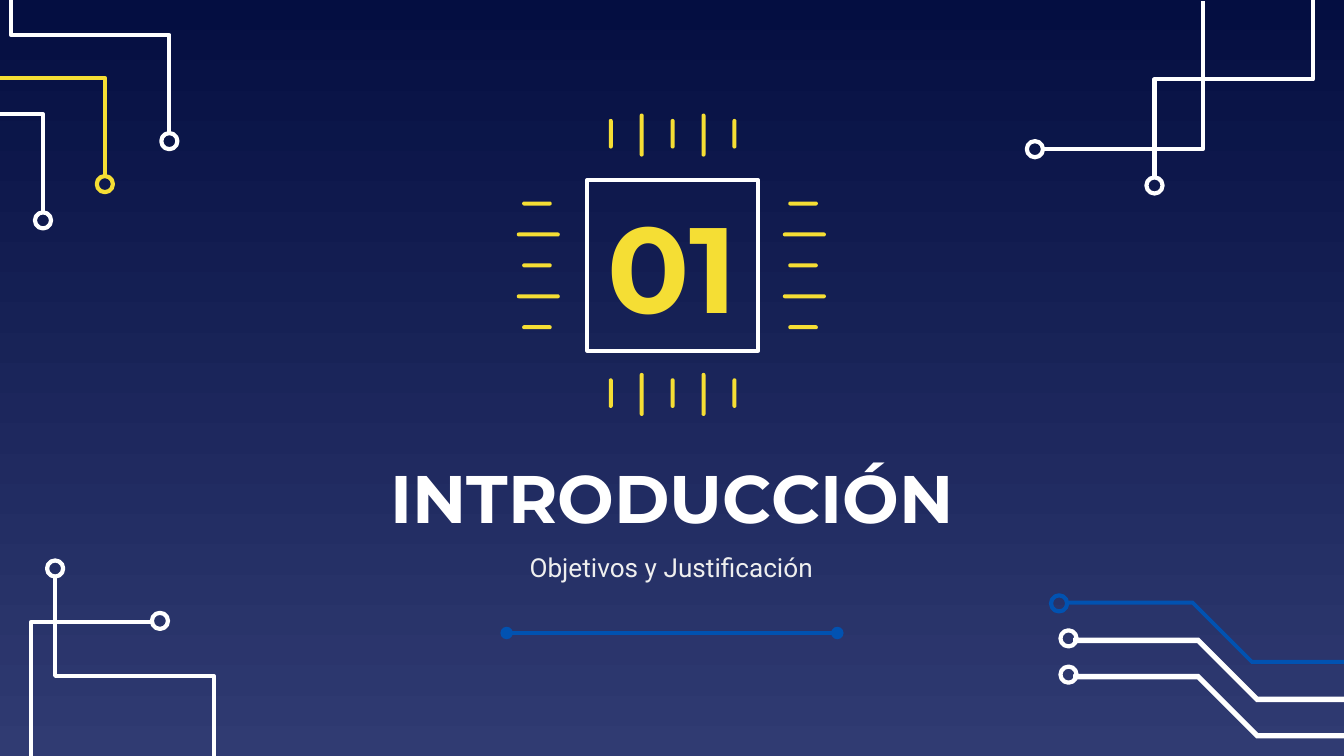
import pptx
import pptx.dml.color
import pptx.enum.shapes
import pptx.enum.text
import pptx.oxml
import pptx.oxml.ns
import pptx.util

Inches = pptx.util.Inches
Pt = pptx.util.Pt
Shapes = pptx.enum.shapes.MSO_SHAPE

WHITE, YELLOW, BLUE = "FFFFFF", "F5DE34", "0152B1"
RING_SIZE = 0.12
DROP = [(1.18, 1.43), (1.18, 0.69), (0, 0.69), (0, 0)]
RISE = [(0, 1.44), (0, 0.7), (1.18, 0.7), (1.18, 0)]
STEP = [(0, 0), (0, 0.75), (1.18, 0.75), (1.18, 1.43)]
BAND = [(0, 0), (0.93, 0), (1.37, 0.44), (2.1, 0.44),
        (2.1, 0.47), (1.36, 0.47), (0.92, 0.03), (0, 0.03)]


def color(value):
    return pptx.dml.color.RGBColor.from_string(value)


def paint(shape, fill=None, line=None, width=2.25):
    shape.shadow.inherit = False
    for target, value in ((shape.fill, fill), (shape.line.fill, line)):
        if value:
            target.solid()
            target.fore_color.rgb = color(value)
        else:
            target.background()
    if line:
        shape.line.width = Pt(width)


def add_outline(slide, left, top, points, close):
    start, *rest = [(Inches(x), Inches(y)) for x, y in points]
    builder = slide.shapes.build_freeform(*start, scale=1.0)
    builder.add_line_segments(rest, close=close)
    return builder.convert_to_shape(Inches(left), Inches(top))


def add_ring(slide, left, top, line):
    ring = slide.shapes.add_shape(
        Shapes.OVAL, Inches(left), Inches(top), Inches(RING_SIZE), Inches(RING_SIZE))
    paint(ring, line=line)


def draw_trace(slide, left, top, points, ring_offset, line=WHITE):
    paint(add_outline(slide, left, top, points, close=False), line=line)
    add_ring(slide, left + ring_offset[0], top + ring_offset[1], line)


def draw_band(slide, left, top, ring_offset, fill, line=None):
    paint(add_outline(slide, left, top, BAND, close=True), fill, line, 0.75)
    add_ring(slide, left + ring_offset[0], top + ring_offset[1], fill)


def draw_corners(slide):
    draw_band(slide, 7.95, 4.47, (-0.13, -0.04), BLUE)
    for top in (4.75, 5.02):
        draw_band(slide, 7.99, top, (-0.1, -0.06), WHITE, WHITE)
    draw_trace(slide, 0.41, 4.28, STEP, (-0.06, -0.11))
    draw_trace(slide, 0.23, 4.63, [(0.9, 0), (0, 0), (0, 1.08)], (0.9, -0.07))
    draw_trace(slide, 7.75, 0.01, [(0, 1.1), (1.2, 1.1), (1.2, 0)], (-0.11, 1.04))
    draw_trace(slide, 8.59, -0.11, RISE, (-0.06, 1.43))
    for left, top, line in ((-0.86, 0.16, WHITE), (-0.4, -0.11, YELLOW), (0.08, -0.43, WHITE)):
        draw_trace(slide, left, top, DROP, (1.12, 1.42), line)


def write_text(shape, text, size, font, value, bold=False):
    frame = shape.text_frame
    frame.text = text
    frame.word_wrap = True
    frame.vertical_anchor = pptx.enum.text.MSO_ANCHOR.MIDDLE
    frame.margin_left = frame.margin_right = Inches(0.1)
    frame.margin_top = frame.margin_bottom = Inches(0.1)
    paragraph = frame.paragraphs[0]
    paragraph.alignment = pptx.enum.text.PP_ALIGN.CENTER
    run_font = paragraph.runs[0].font
    run_font.size = Pt(size)
    run_font.name = font
    run_font.bold = bold
    run_font.color.rgb = color(value)


def add_text(slide, left, top, width, height, *style):
    box = slide.shapes.add_textbox(Inches(left), Inches(top), Inches(width), Inches(height))
    write_text(box, *style)


def add_pin(slide, center_x, center_y, width, height):
    pin = slide.shapes.add_shape(
        Shapes.ROUNDED_RECTANGLE, Inches(center_x - width / 2),
        Inches(center_y - height / 2), Inches(width), Inches(height))
    pin.adjustments[0] = 0.5
    paint(pin, fill=YELLOW)


def draw_chip(slide, left, top, size, number):
    body = slide.shapes.add_shape(
        Shapes.RECTANGLE, Inches(left), Inches(top), Inches(size), Inches(size))
    paint(body, line=WHITE)
    write_text(body, number, 65, "Montserrat", YELLOW, True)
    center_x, center_y = left + size / 2, top + size / 2
    pitch, thickness = 0.23, 0.03
    for index in range(5):
        offset = (index - 2) * pitch
        length = 0.32 if index % 2 else 0.22
        shift = 0.01 if index % 2 else 0
        for distance in (-0.98, 0.95):
            add_pin(slide, center_x + offset, center_y + distance + shift,
                    thickness, length)
        for distance in (-1.01, 0.97):
            add_pin(slide, center_x + distance + shift, center_y + offset,
                    length, thickness)


def draw_divider(slide, left, top, width):
    line = slide.shapes.add_connector(
        pptx.enum.shapes.MSO_CONNECTOR.STRAIGHT,
        Inches(left), Inches(top), Inches(left + width), Inches(top))
    line.line.color.rgb = color(BLUE)
    line.line.width = Pt(2.25)
    outline = line._element.spPr.find(pptx.oxml.ns.qn("a:ln"))
    namespace = pptx.oxml.ns.nsdecls("a")
    for tag in ("a:headEnd", "a:tailEnd"):
        outline.append(pptx.oxml.parse_xml(f'<{tag} {namespace} type="oval"/>'))
    line._element.spPr.append(pptx.oxml.parse_xml(f"<a:effectLst {namespace}/>"))


def draw_background(slide):
    fill = slide.background.fill
    fill.gradient()
    fill.gradient_angle = 270
    for stop, value in zip(fill.gradient_stops, ("040E41", "303B72")):
        stop.color.rgb = color(value)


def main():
    presentation = pptx.Presentation()
    presentation.slide_width = Inches(10)
    presentation.slide_height = Inches(10) * 9 // 16
    slide = presentation.slides.add_slide(presentation.slide_layouts[6])
    draw_background(slide)
    draw_corners(slide)
    add_text(slide, 2.68, 3.36, 4.64, 0.67, "INTRODUCCIÓN", 36, "Montserrat", WHITE, True)
    draw_chip(slide, 4.37, 1.34, 1.27, "01")
    add_text(slide, 2.74, 3.99, 4.51, 0.46, "Objetivos y Justificación", 14, "Roboto", "EFEFEF")
    draw_divider(slide, 3.77, 4.71, 2.46)
    presentation.save("out.pptx")


if __name__ == "__main__":
    main()
